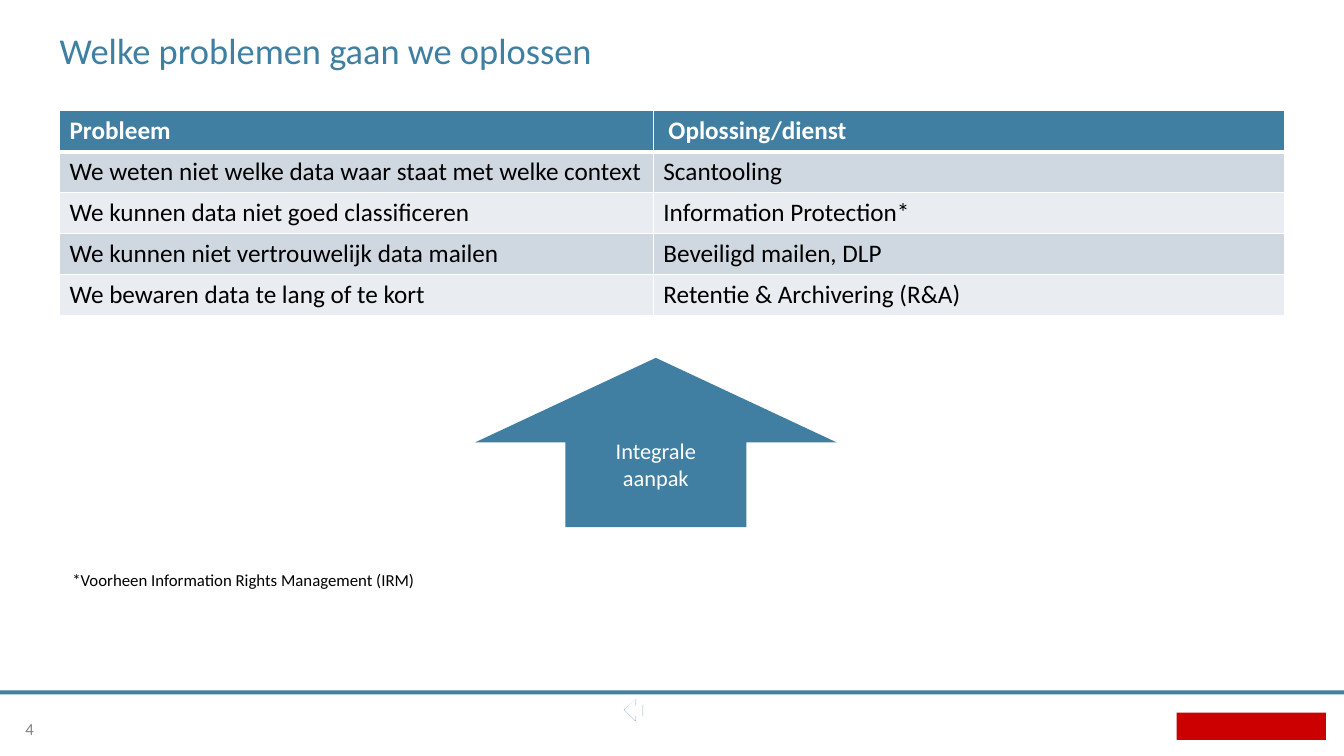
from pptx import Presentation
from pptx.util import Inches, Pt
from pptx.dml.color import RGBColor
from pptx.enum.shapes import MSO_SHAPE
from pptx.enum.text import MSO_ANCHOR, MSO_AUTO_SIZE, PP_ALIGN
from pptx.oxml.ns import qn
from lxml.etree import SubElement

HUES = {"blue": "417FA2", "title": "3E7FA2", "rule": "427FA1", "red": "CC0000",
        "dark": "CFD8E0", "pale": "E9ECF0", "gray": "828282",
        "white": "FFFFFF", "black": "000000"}
ROWS = [("Probleem", "Oplossing/dienst"),
        ("We weten niet welke data waar staat met welke context", "Scantooling"),
        ("We kunnen data niet goed classificeren", "Information Protection*"),
        ("We kunnen niet vertrouwelijk data mailen", "Beveiligd mailen, DLP"),
        ("We bewaren data te lang of te kort", "Retentie & Archivering (R&A)")]
RING = [(6.31, 6.92), (6.31, 6.99), (6.38, 6.99), (6.38, 7.11),
        (6.31, 7.11), (6.31, 7.17), (6.18, 7.04)]
CORE = [(6.3, 6.94), (6.2, 7.04), (6.3, 7.14), (6.3, 7.1),
        (6.37, 7.1), (6.37, 7), (6.3, 7)]


class Deck:
    """Holds the style and the current slide."""

    def __init__(self, font):
        self.font = font
        self.prs = Presentation()
        self.prs.slide_width, self.prs.slide_height = Inches(13.33), Inches(7.5)
        self.slide = self.prs.slides.add_slide(self.prs.slide_layouts[5])

    def hue(self, name):
        return RGBColor.from_string(HUES[name])

    def words(self, frame, text, size, hue, align=PP_ALIGN.LEFT, bold=False):
        frame.text = text
        para = frame.paragraphs[0]
        para.alignment = align
        font = para.runs[0].font
        font.name, font.size, font.bold = self.font, Pt(size), bold
        font.color.rgb = self.hue(hue)

    def frame(self, frame, anchor, inset=0):
        frame.word_wrap = True
        frame.auto_size = MSO_AUTO_SIZE.NONE
        frame.vertical_anchor = anchor
        frame.margin_left = frame.margin_right = Inches(inset)
        frame.margin_top = frame.margin_bottom = Inches(inset)

    def title(self, text, box):
        shape = self.slide.shapes.title
        shape.left, shape.top, shape.width, shape.height = map(Inches, box)
        self.frame(shape.text_frame, MSO_ANCHOR.TOP)
        self.words(shape.text_frame, text, 26, "title")
        shape.text_frame.paragraphs[0].line_spacing = 0.8

    def label(self, text, box, hue, anchor=MSO_ANCHOR.TOP):
        shape = self.slide.shapes.add_textbox(*map(Inches, box))
        self.frame(shape.text_frame, anchor)
        self.words(shape.text_frame, text, 12, hue, PP_ALIGN.CENTER)

    def paint(self, shape, hue):
        shape.shadow.inherit = False
        shape.fill.solid()
        shape.fill.fore_color.rgb = self.hue(hue)
        shape.line.fill.background()
        return shape

    def block(self, kind, box, hue):
        return self.paint(self.slide.shapes.add_shape(kind, *map(Inches, box)), hue)

    def arrow(self, text, box):
        frame = self.block(MSO_SHAPE.UP_ARROW, box, "blue").text_frame
        self.frame(frame, MSO_ANCHOR.MIDDLE, 0.16)
        self.words(frame, text, 16, "white", PP_ALIGN.CENTER)

    def icon(self, first, *rest):
        first, *rest = [[(Inches(x), Inches(y)) for x, y in loop] for loop in (first, *rest)]
        pen = self.slide.shapes.build_freeform(*first[0])
        pen.add_line_segments(first[1:], close=True)
        for loop in rest:
            pen.move_to(*loop[0])
            pen.add_line_segments(loop[1:], close=True)
        shape = self.paint(pen.convert_to_shape(), "blue")
        shape.line.color.rgb = self.hue("white")
        shape.line.width = Pt(0.75)

    def edge(self, cell, side, width):
        line = SubElement(cell._tc.get_or_add_tcPr(), qn("a:ln" + side), w=str(Pt(width)))
        fill = SubElement(line, qn("a:solidFill"))
        SubElement(fill, qn("a:srgbClr"), val=HUES["white"])

    def table(self, rows, box, cols):
        grid = self.slide.shapes.add_table(len(rows), len(cols), *map(Inches, box)).table
        for col, width in zip(grid.columns, cols):
            col.width = Inches(width)
        for r, row in enumerate(rows):
            for c, text in enumerate(row):
                cell = grid.cell(r, c)
                head = r == 0
                for side in "LRTB":
                    thick = (r, side) in ((0, "B"), (1, "T"))
                    self.edge(cell, side, 3 if thick else 1)
                cell.fill.solid()
                cell.fill.fore_color.rgb = self.hue(
                    "blue" if head else "dark" if r % 2 else "pale")
                cell.margin_left = Inches(0.15 if head and c else 0.1)
                self.words(cell.text_frame, text, 18,
                           "white" if head else "black", bold=head)


def main():
    deck = Deck("Calibri")
    deck.block(MSO_SHAPE.RECTANGLE, (11.67, 7.07, 1.48, 0.27), "red")
    deck.block(MSO_SHAPE.RECTANGLE, (0, 6.85, 13.33, 0.04), "rule")
    deck.icon(CORE, RING)
    deck.title("Welke problemen gaan we oplossen", (0.59, 0.36, 12.15, 0.33))
    deck.label("4", (0, 7.1, 0.59, 0.25), "gray", MSO_ANCHOR.MIDDLE)
    deck.table(ROWS, (0.59, 1.1, 12.15, 2.03), (5.89, 6.26))
    deck.label("*Voorheen Information Rights Management (IRM)",
               (0.43, 5.65, 3.97, 0.83), "black")
    deck.arrow("Integrale aanpak", (4.71, 3.55, 3.59, 1.68))
    deck.prs.save("out.pptx")


if __name__ == "__main__":
    main()
